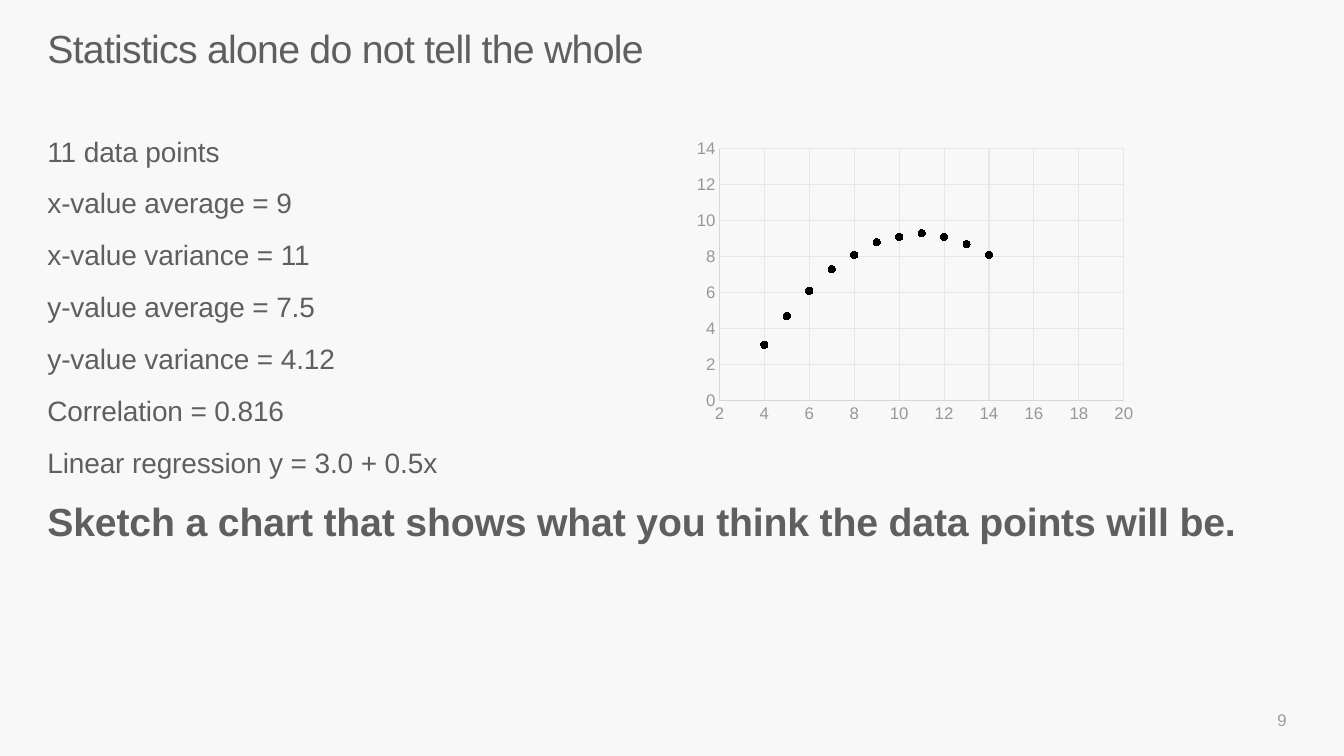
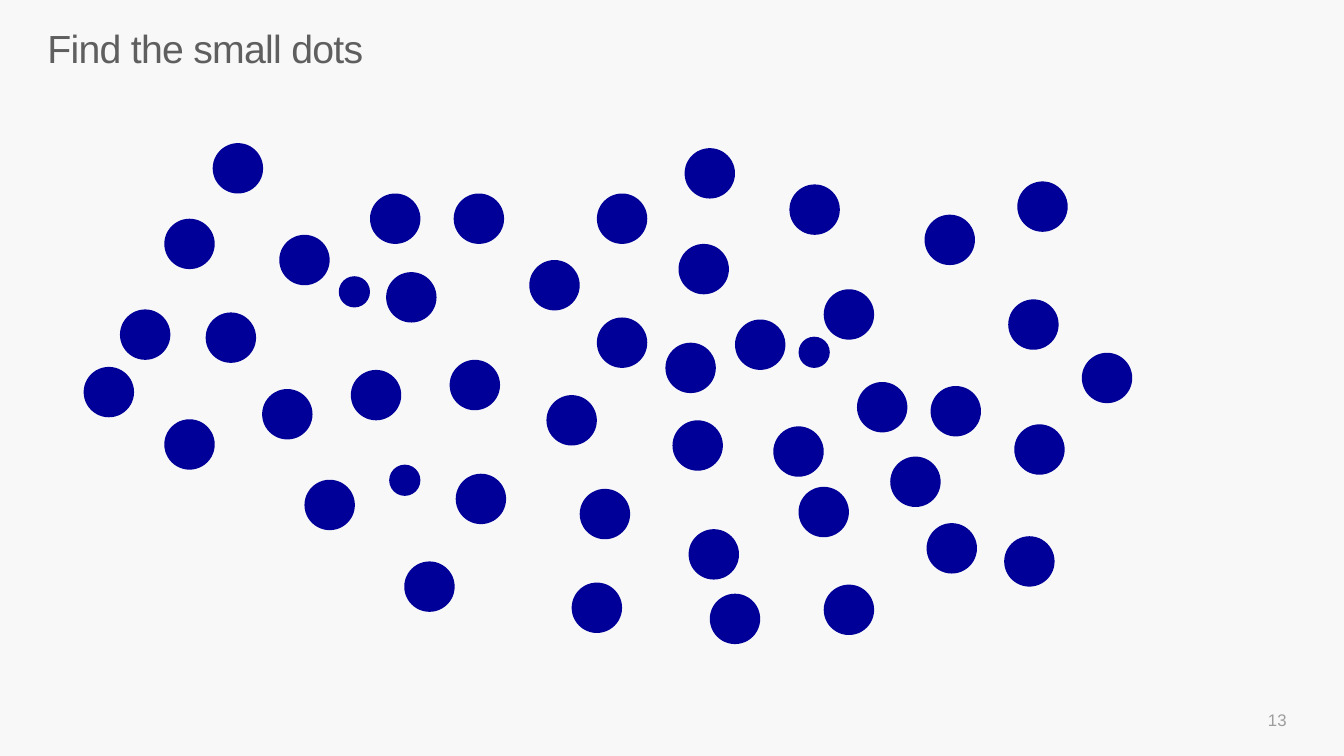
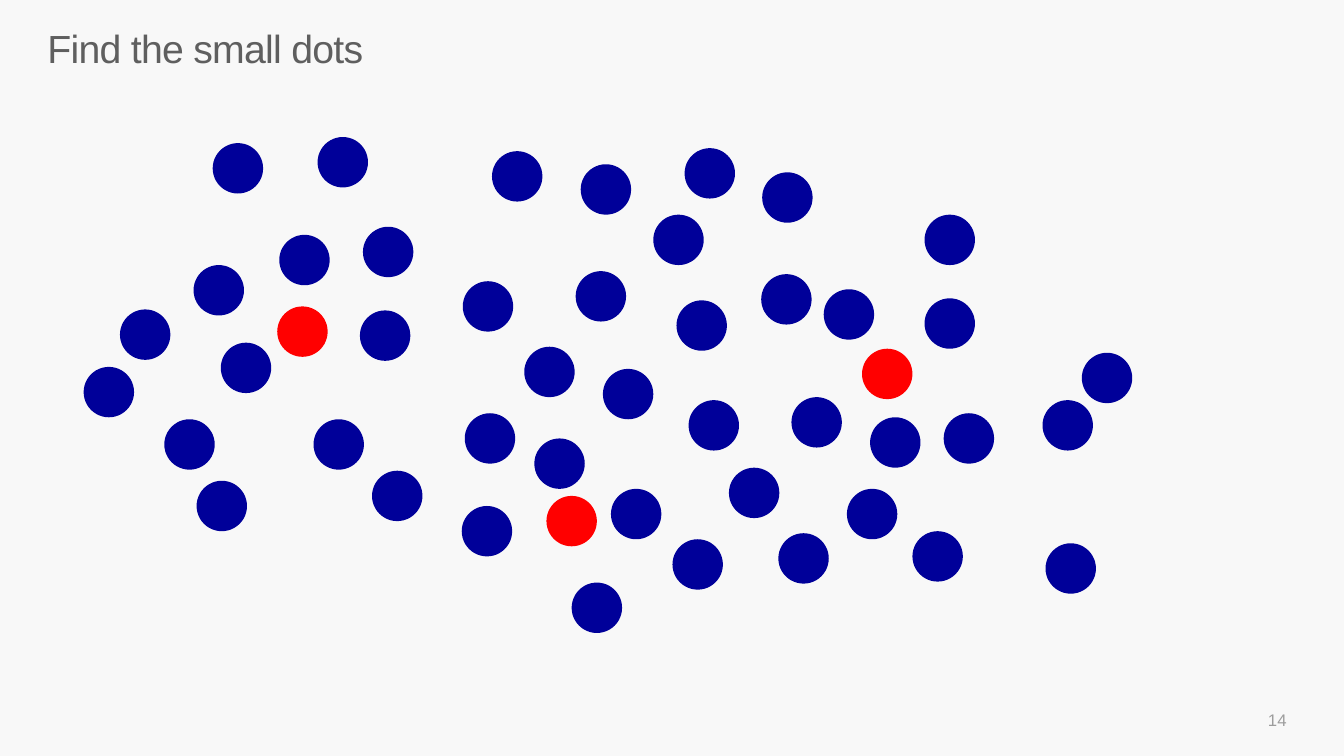
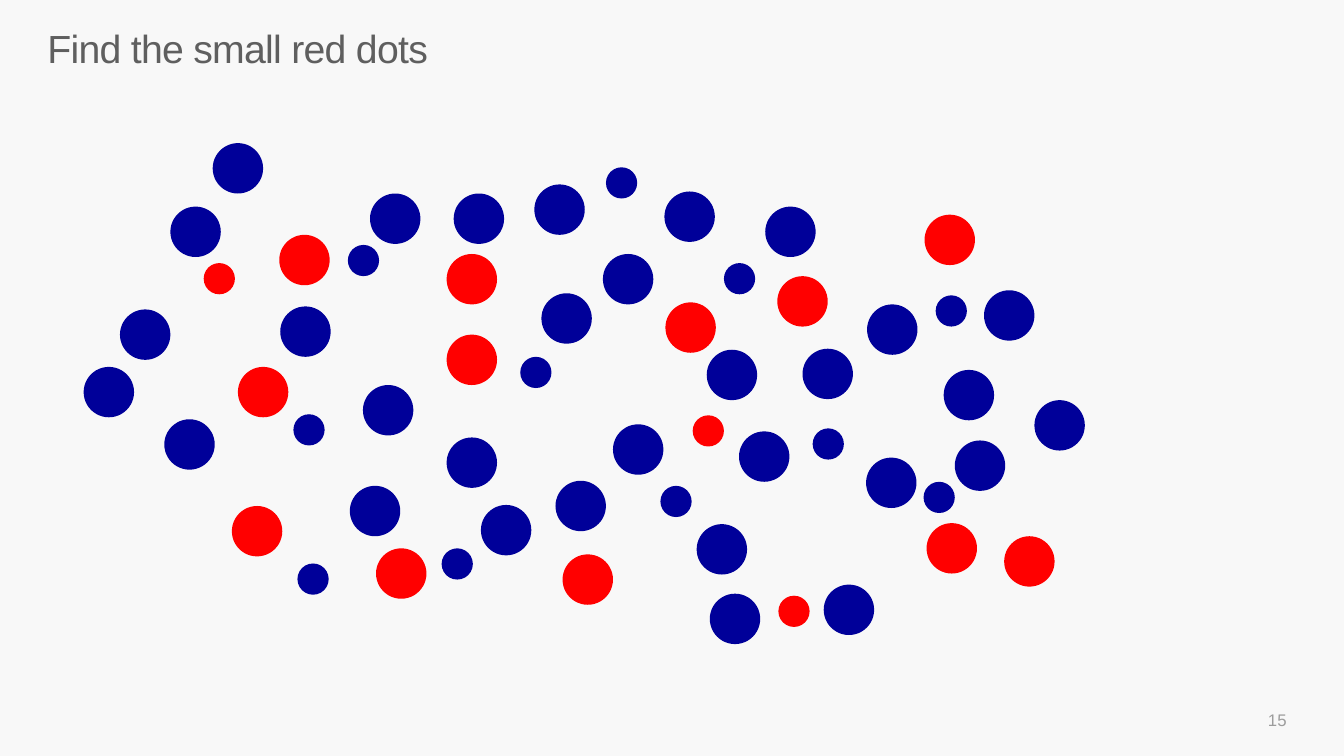
from dataclasses import dataclass

from pptx import Presentation
from pptx.chart.data import XyChartData
from pptx.dml.color import RGBColor
from pptx.enum.chart import XL_CHART_TYPE, XL_MARKER_STYLE, XL_TICK_MARK
from pptx.enum.shapes import MSO_SHAPE
from pptx.enum.text import MSO_ANCHOR, PP_ALIGN
from pptx.oxml.ns import qn
from pptx.util import Inches, Pt

SCATTER = XL_CHART_TYPE.XY_SCATTER
CIRCLE = XL_MARKER_STYLE.CIRCLE
NO_TICK = XL_TICK_MARK.NONE
OVAL = MSO_SHAPE.OVAL
TOP, MIDDLE = MSO_ANCHOR.TOP, MSO_ANCHOR.MIDDLE
LEFT, RIGHT = PP_ALIGN.LEFT, PP_ALIGN.RIGHT


@dataclass(frozen=True)
class Box:
    left: float
    top: float
    width: float
    height: float

    def inches(self):
        return [Inches(v) for v in (self.left, self.top, self.width, self.height)]


@dataclass(frozen=True)
class Theme:
    font: str = "Arial"
    background: RGBColor = RGBColor(0xF8, 0xF8, 0xF8)
    text: RGBColor = RGBColor(0x5F, 0x5F, 0x5F)
    page_number: RGBColor = RGBColor(0x9D, 0x9D, 0x9D)
    axis_label: RGBColor = RGBColor(0x97, 0x97, 0x97)
    axis_line: RGBColor = RGBColor(0xD7, 0xD7, 0xD7)
    gridline: RGBColor = RGBColor(0xE7, 0xE7, 0xE7)
    marker: RGBColor = RGBColor(0, 0, 0)
    blue: RGBColor = RGBColor(0, 0, 0x99)
    red: RGBColor = RGBColor(0xFF, 0, 0)
    title_size: int = 28
    body_size: int = 20
    small_size: int = 12
    chart_size: int = 10
    hairline: float = 0.75
    big_dot: float = 0.5
    small_dot: float = 0.31


THEME = Theme()

# Layout
SLIDE = Box(0, 0, 13.33, 7.5)
TITLE = Box(0.47, 0.31, 12.39, 0.89)
BODY = Box(0.47, 1.33, 12.39, 5.06)
PAGE_NUMBER = Box(9.86, 6.94, 3, 0.4)
CHART = Box(6.82, 1.33, 4.51, 2.92)

# Statistics slide
STATISTICS = [
    "11 data points",
    "x-value average = 9",
    "x-value variance = 11",
    "y-value average = 7.5",
    "y-value variance = 4.12",
    "Correlation = 0.816",
    "Linear regression y = 3.0 + 0.5x",
]
TASK = "Sketch a chart that shows what you think the data points will be."
DATA_POINTS = [
    (10, 9.1), (8, 8.1), (13, 8.7), (9, 8.8), (11, 9.3), (14, 8.1),
    (6, 6.1), (4, 3.1), (12, 9.1), (7, 7.3), (5, 4.7),
]

# Dot groups: (colour, diameter, top-left corners in inches within the field)
SMALL_AMONG_BIG = [
    (THEME.blue, THEME.big_dot, [
        (3.67, 1.92), (4.5, 1.92), (3.83, 2.7), (5.25, 2.58), (5.92, 1.92),
        (4.46, 3.57), (5.92, 3.15), (5.42, 3.92), (3.48, 3.67), (4.52, 4.7),
        (5.75, 4.85), (6.67, 4.17), (7.29, 3.17), (6.73, 2.42), (7.83, 1.83),
        (8.17, 2.87), (8.5, 3.79), (7.67, 4.23), (7.92, 4.83), (6.83, 5.25),
        (6.6, 3.4), (9.17, 2.13), (9.23, 3.83), (10, 2.97), (10.09, 1.8),
        (2.77, 2.33), (2.6, 3.86), (3.02, 4.76), (4.01, 5.57), (5.67, 5.78),
        (7.04, 5.89), (8.17, 5.8), (9.19, 5.19), (10.06, 4.21), (9.96, 5.32),
        (8.83, 4.53), (10.73, 3.5), (6.79, 1.47), (2.11, 1.42), (1.63, 2.17),
        (1.19, 3.07), (0.83, 3.64), (2.04, 3.1), (1.63, 4.16),
    ]),
    (THEME.blue, THEME.small_dot, [(3.86, 4.61), (3.36, 2.74), (7.92, 3.34)]),
]
RED_AMONG_BLUE = [
    (THEME.blue, THEME.big_dot, [
        (3.15, 1.36), (4.88, 1.5), (3.6, 2.25), (5.71, 2.69), (5.76, 1.63),
        (4.59, 2.79), (5.98, 3.66), (5.2, 3.44), (3.57, 3.08), (4.61, 4.1),
        (5.3, 4.35), (6.06, 4.85), (7.55, 2.72), (6.71, 2.98), (7.56, 1.71),
        (8.17, 2.87), (1.95, 4.77), (7.85, 3.94), (8.4, 4.85), (7.23, 4.64),
        (6.83, 3.97), (9.17, 2.13), (9.36, 4.1), (6.48, 2.13), (2.77, 2.33),
        (2.19, 3.4), (3.11, 4.16), (4.58, 5.02), (5.67, 5.78), (6.67, 5.35),
        (7.72, 5.29), (9.05, 5.27), (10.34, 3.97), (10.37, 5.39), (8.63, 4.14),
        (10.73, 3.5), (6.79, 1.47), (2.11, 1.42), (1.92, 2.63), (1.19, 3.07),
        (0.83, 3.64), (1.63, 4.16), (3.69, 4.67), (9.17, 2.96),
    ]),
    (THEME.red, THEME.big_dot, [(8.55, 3.46), (2.75, 3.04), (5.42, 4.92)]),
]
SMALL_RED_AMONG_MIXED = [
    (THEME.blue, THEME.big_dot, [
        (3.67, 1.92), (4.5, 1.92), (5.98, 2.52), (5.3, 1.83), (2.78, 3.04),
        (4.43, 4.34), (4.77, 5.01), (5.51, 4.77), (5.37, 2.91), (7.59, 2.05),
        (7.01, 3.47), (7.33, 4.28), (8.6, 3.02), (7.96, 3.46), (6.08, 4.21),
        (8.59, 4.54), (9.36, 3.67), (10.26, 3.97), (1.69, 2.05), (3.47, 4.82),
        (3.6, 3.82), (7.04, 5.89), (8.17, 5.8), (9.47, 4.37), (6.91, 5.2),
        (9.76, 2.88), (6.59, 1.9), (2.11, 1.42), (1.19, 3.07), (0.83, 3.64),
        (1.63, 4.16),
    ]),
    (THEME.red, THEME.big_dot, [
        (4.43, 2.52), (3.73, 5.44), (4.43, 3.32), (6.6, 3), (7.71, 2.74),
        (9.17, 2.13), (2.77, 2.33), (5.58, 5.5), (9.19, 5.19), (9.96, 5.32),
        (2.3, 5.02), (2.36, 3.64),
    ]),
    (THEME.blue, THEME.small_dot, [
        (3.45, 2.43), (2.91, 4.11), (7.18, 2.61), (6.55, 4.82), (8.06, 4.25),
        (9.16, 4.78), (9.28, 2.93), (5.16, 3.54), (4.38, 5.44), (6.01, 1.66),
        (2.95, 5.59),
    ]),
    (THEME.red, THEME.small_dot, [(2.02, 2.61), (7.72, 5.91), (6.87, 4.12)]),
]


# Text helpers
def add_text_frame(slide, box, anchor=TOP, inset=True):
    frame = slide.shapes.add_textbox(*box.inches()).text_frame
    frame.word_wrap = True
    frame.vertical_anchor = anchor
    if not inset:
        frame.margin_left = frame.margin_right = 0
        frame.margin_top = frame.margin_bottom = 0
    return frame


def write(paragraph, text, size, color=THEME.text, bold=False, align=LEFT, tracking=0):
    """Fill a paragraph; tracking is in hundredths of a point."""
    paragraph.text = text
    paragraph.alignment = align
    style_font(paragraph.font, size, color, bold)
    if tracking:
        paragraph._p.pPr.find(qn("a:defRPr")).set("spc", str(tracking))


def style_font(font, size, color, bold=False):
    font.name = THEME.font
    font.size = Pt(size)
    font.bold = bold
    font.color.rgb = color


# Regions
def add_title(slide, box, text):
    title = add_text_frame(slide, box, inset=False).paragraphs[0]
    write(title, text, THEME.title_size, tracking=-50)
    title.line_spacing = 0.86


def add_page_number(slide, box, number):
    paragraph = add_text_frame(slide, box, MIDDLE).paragraphs[0]
    write(paragraph, str(number), THEME.small_size, THEME.page_number, align=RIGHT)


def add_statistics(slide, box):
    frame = add_text_frame(slide, box, inset=False)
    for index, line in enumerate(STATISTICS + [TASK]):
        is_task = line == TASK
        paragraph = frame.add_paragraph() if index else frame.paragraphs[0]
        size = THEME.title_size if is_task else THEME.body_size
        write(paragraph, line, size, bold=is_task, tracking=-10)
        if index:
            paragraph.space_before = Pt(13)


def style_axis(axis, low, high):
    axis.minimum_scale, axis.maximum_scale, axis.major_unit = low, high, 2
    axis.major_tick_mark = axis.minor_tick_mark = NO_TICK
    axis.has_major_gridlines = True
    style_font(axis.tick_labels.font, THEME.small_size, THEME.axis_label)
    for line, color in ((axis.format.line, THEME.axis_line),
                        (axis.major_gridlines.format.line, THEME.gridline)):
        line.color.rgb = color
        line.width = Pt(THEME.hairline)


def add_scatter(slide, box):
    data = XyChartData(number_format="General")
    series_data = data.add_series("Series 1")
    for x, y in DATA_POINTS:
        series_data.add_data_point(x, y)
    chart = slide.shapes.add_chart(SCATTER, *box.inches(), data).chart
    chart.has_title = chart.has_legend = False
    style_font(chart.font, THEME.chart_size, THEME.text)
    style_axis(chart.category_axis, 2, 20)
    style_axis(chart.value_axis, 0, 14)

    # Markers only, no joining line
    plot = chart.plots[0]
    plot.vary_by_categories = False
    series = plot.series[0]
    series.format.line.fill.background()
    series.marker.style = CIRCLE
    series.marker.size = 5
    series.marker.format.fill.solid()
    series.marker.format.fill.fore_color.rgb = THEME.marker
    series.marker.format.line.fill.background()


def add_dots(slide, field, groups):
    for color, diameter, corners in groups:
        for x, y in corners:
            place = Box(field.left + x, field.top + y, diameter, diameter)
            dot = slide.shapes.add_shape(OVAL, *place.inches())
            dot.shadow.inherit = False
            dot.fill.solid()
            dot.fill.fore_color.rgb = color
            dot.line.fill.background()


# Slide types
def add_base_slide(prs, title, number):
    slide = prs.slides.add_slide(prs.slide_layouts[6])
    add_title(slide, TITLE, title)
    add_page_number(slide, PAGE_NUMBER, number)
    return slide


def add_statistics_slide(prs, title, number):
    slide = add_base_slide(prs, title, number)
    add_statistics(slide, BODY)
    add_scatter(slide, CHART)


def add_dot_slide(prs, title, number, groups):
    add_dots(add_base_slide(prs, title, number), SLIDE, groups)


def main():
    prs = Presentation()
    prs.slide_width, prs.slide_height = Inches(SLIDE.width), Inches(SLIDE.height)
    background = prs.slide_master.background.fill
    background.solid()
    background.fore_color.rgb = THEME.background

    add_statistics_slide(prs, "Statistics alone do not tell the whole", 9)
    add_dot_slide(prs, "Find the small dots", 13, SMALL_AMONG_BIG)
    add_dot_slide(prs, "Find the small dots", 14, RED_AMONG_BLUE)
    add_dot_slide(prs, "Find the small red dots", 15, SMALL_RED_AMONG_MIXED)
    prs.save("out.pptx")


if __name__ == "__main__":
    main()
